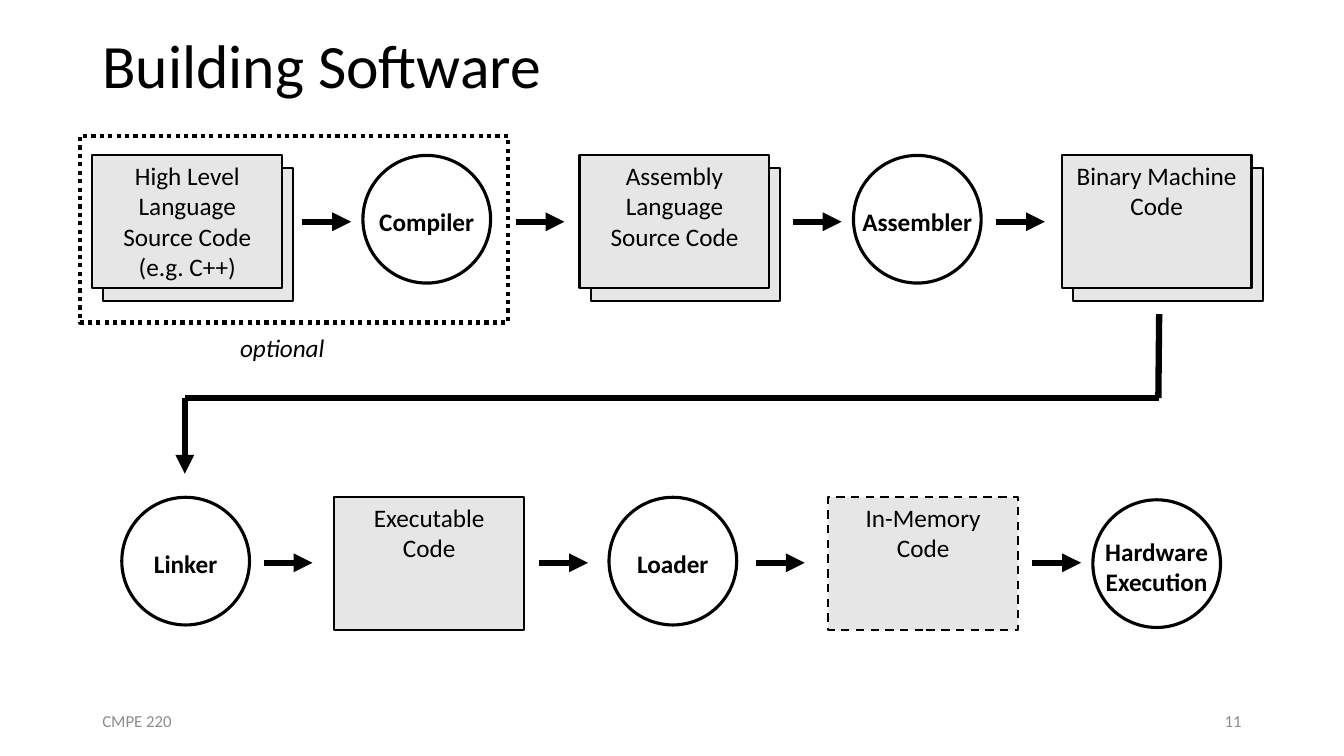
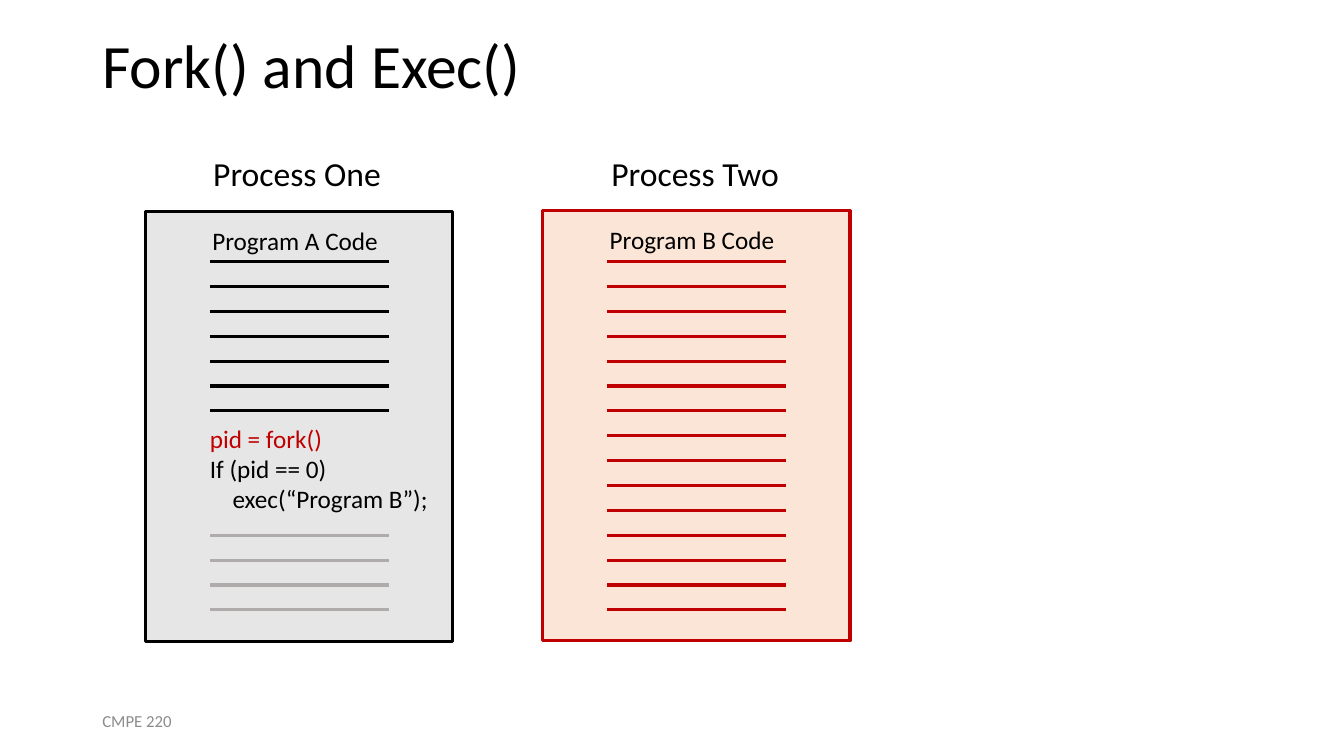
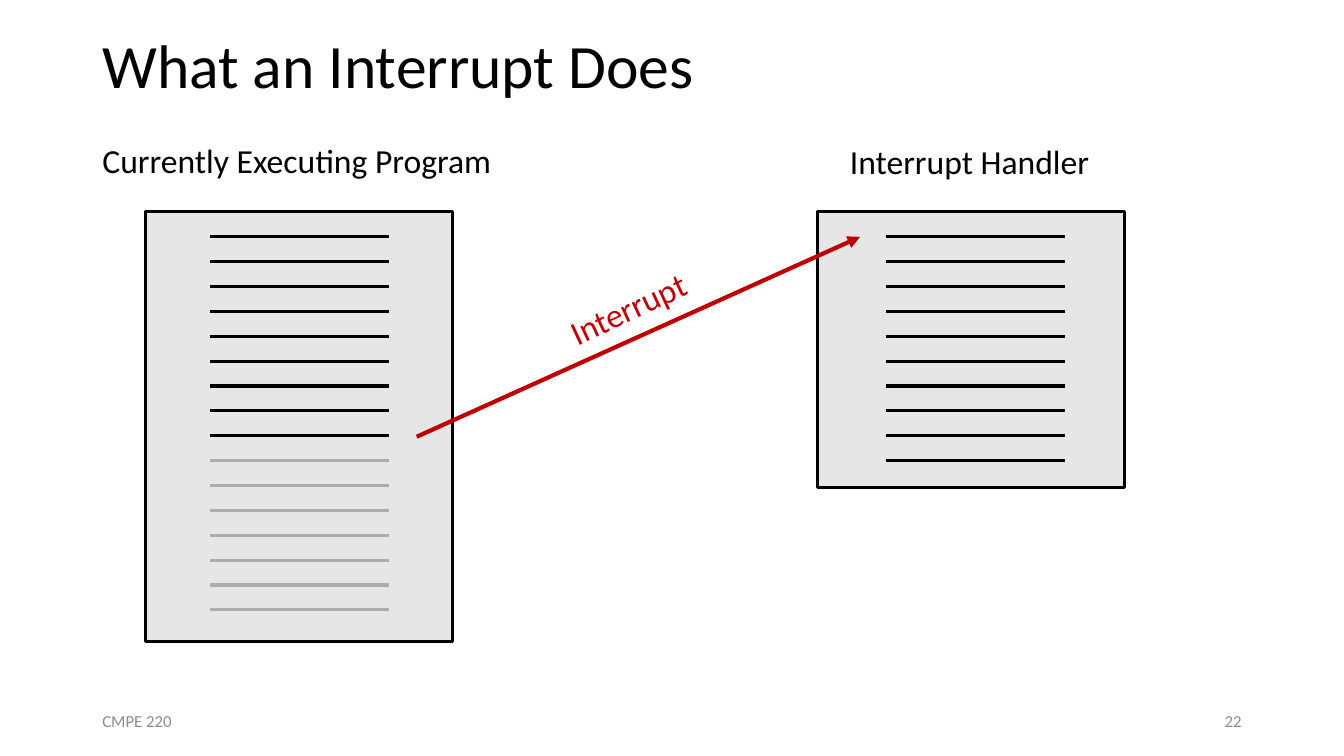
from lxml.etree import SubElement
from pptx import Presentation
from pptx.dml.color import RGBColor
from pptx.enum.dml import MSO_LINE
from pptx.enum.shapes import MSO_CONNECTOR, MSO_SHAPE
from pptx.enum.text import MSO_ANCHOR, PP_ALIGN
from pptx.oxml.ns import qn
from pptx.util import Inches, Pt

# Shared style: the grid has 80 columns and 45 rows
COLS, ROWS = 80, 45
WIDE, HIGH = Inches(13.33), Inches(7.5)
BLACK, RED, PALE, PEACH = "000000", "C00000", "E7E6E6", "FBE5D6"
FADE, MUTE = "AFABAB", "8C8C8C"
LEFT, MID, RIGHT = PP_ALIGN.LEFT, PP_ALIGN.CENTER, PP_ALIGN.RIGHT
BODY = {"size": Pt(18), "name": "Calibri"}
TITLE = {**BODY, "size": Pt(44)}
HEAD = {**BODY, "size": Pt(24)}
FOOT = {**BODY, "size": Pt(12)}
BOLD = {**BODY, "bold": True}
SLANT = {**BODY, "italic": True}

# Sizes that repeat, in grid units
BOX_W, BOX_H, DISK = 11.3, 7.9, 7.6
PAGE_W, PAGE_H, PAGE_Y = 18.3, 25.6, 12.6
RULE_W, RULE_Y, PITCH = 10.65, 14.1, 1.48


def tint(code):
    return RGBColor.from_string(code)


def col(num):
    return round(WIDE * num / COLS)


def row(num):
    return round(HIGH * num / ROWS)


class Deck:
    def __init__(self):
        self.file = Presentation()
        self.file.slide_width, self.file.slide_height = WIDE, HIGH
        self.slide = None

    def start(self, title, page=None):
        """Add a slide with its title and footer."""
        self.slide = self.file.slides.add_slide(self.file.slide_layouts[6])
        head = self.label(5.5, 0, 69, 8.1, [title], TITLE, wrap=True, mid=True)
        head.text_frame.paragraphs[0].line_spacing = 0.9
        self.label(5.5, 41.7, 18, 2.4, ["CMPE 220"], FOOT, MUTE,
                   wrap=True, mid=True)
        if page:
            self.label(56.5, 41.7, 18, 2.4, [page], FOOT, MUTE, RIGHT,
                       wrap=True, mid=True)

    def fill(self, frame, lines, form, hue, align):
        """Put lines in a frame; a line is a string or a (string, hue) pair."""
        for num, line in enumerate(lines):
            text, ink = (line, hue) if isinstance(line, str) else line
            para = frame.paragraphs[0] if num == 0 else frame.add_paragraph()
            para.alignment = align
            run = para.add_run()
            run.text = text
            for key, val in form.items():
                setattr(run.font, key, val)
            run.font.color.rgb = tint(ink)

    def label(self, x, y, w, h, lines, form=BODY, hue=BLACK, align=LEFT,
              wrap=False, mid=False, turn=0):
        box = self.slide.shapes.add_textbox(col(x), row(y), col(w), row(h))
        box.rotation = turn
        frame = box.text_frame
        frame.word_wrap = wrap
        frame.vertical_anchor = MSO_ANCHOR.MIDDLE if mid else MSO_ANCHOR.TOP
        self.fill(frame, lines, form, hue, align)
        return box

    def shape(self, kind, x, y, w, h, fill=PALE, line=BLACK, thick=1.5,
              dash=None):
        item = self.slide.shapes.add_shape(kind, col(x), row(y), col(w), row(h))
        item.shadow.inherit = False
        if fill:
            item.fill.solid()
            item.fill.fore_color.rgb = tint(fill)
        else:
            item.fill.background()
        item.line.color.rgb = tint(line)
        item.line.width = Pt(thick)
        if dash:
            item.line.dash_style = dash
        return item

    def box(self, x, y, lines=(), dash=None):
        item = self.shape(MSO_SHAPE.RECTANGLE, x, y, BOX_W, BOX_H, dash=dash)
        frame = item.text_frame
        frame.word_wrap = True
        frame.vertical_anchor = MSO_ANCHOR.TOP
        self.fill(frame, lines, BODY, BLACK, MID)

    def stack(self, x, y, lines):
        self.box(x + 0.66, y + 0.75)
        self.box(x, y, lines)

    def disk(self, x, y, lines):
        item = self.shape(MSO_SHAPE.OVAL, x, y, DISK, DISK, None, thick=2.25)
        frame = item.text_frame
        frame.word_wrap = False
        frame.vertical_anchor = MSO_ANCHOR.MIDDLE
        frame.margin_top, frame.margin_bottom = row(0.3), 0
        self.fill(frame, lines, BOLD, BLACK, MID)

    def line(self, x1, y1, x2, y2, hue=BLACK, thick=4.5, head=False):
        item = self.slide.shapes.add_connector(
            MSO_CONNECTOR.STRAIGHT, col(x1), row(y1), col(x2), row(y2))
        item.line.color.rgb = tint(hue)
        item.line.width = Pt(thick)
        props = item.element.spPr
        if head:
            SubElement(props.find(qn("a:ln")), qn("a:tailEnd"), type="triangle")
        SubElement(props, qn("a:effectLst"))

    def page(self, x, y=PAGE_Y, h=PAGE_H, fill=PALE, line=BLACK):
        self.shape(MSO_SHAPE.RECTANGLE, x, y, PAGE_W, h, fill, line, 2.25)

    def rules(self, x, first, last, hue=BLACK):
        """Draw code lines first to last, counted from the page top."""
        for num in range(first, last + 1):
            y = RULE_Y + num * PITCH
            self.line(x, y, x + RULE_W, y, hue, 2.25)


def build(deck):
    deck.start("Building Software", "11")
    # Top row: from source to machine code
    top = 9.25
    deck.stack(5.5, top, ["High Level Language Source Code", "(e.g. C++)"])
    deck.disk(21.6, top, ["Compiler"])
    deck.stack(34.5, top, ["Assembly Language Source Code"])
    deck.disk(50.8, top, ["Assembler"])
    deck.stack(63.2, top, ["Binary Machine Code"])
    # Bottom row: from linking to running
    low = 29.6
    deck.disk(7.25, low, ["Linker"])
    deck.box(19.9, low, ["Executable", "Code"])
    deck.disk(36.25, low, ["Loader"])
    deck.box(49.3, low, ["In-Memory", "Code"], MSO_LINE.DASH)
    deck.disk(65.05, low + 0.15, ["Hardware", "Execution"])
    # Arrows within the rows
    for y, starts in ((13.2, (18, 30.7, 47.2, 59.3)),
                      (33.5, (15.7, 32.1, 45, 61.45))):
        for x in starts:
            deck.line(x, y, x + 2.9, y, head=True)
    # Path between the rows
    deck.line(11, 23.7, 69, 23.7)
    deck.line(69, 18.7, 68.95, 23.7)
    deck.line(11, 23.7, 11, 28.2, head=True)
    # Optional part
    deck.shape(MSO_SHAPE.RECTANGLE, 4.75, 8.1, 25.5, 11.1, None, thick=3,
               dash=MSO_LINE.ROUND_DOT)
    deck.label(13.7, 19.5, 6.3, 2.4, ["optional"], SLANT)


def fork(deck):
    deck.start("Fork() and Exec()")
    # First process
    deck.page(8.65)
    deck.label(12.1, 8.8, 11.3, 3, ["Process One"], HEAD)
    deck.label(12.05, 13.1, 11.2, 2.4, ["Program A Code"])
    deck.rules(12.5, 1, 7)
    deck.rules(12.5, 12, 15, FADE)
    deck.label(11.9, 24.9, 14.5, 6.05,
               [("pid = fork()", RED), "If (pid == 0)",
                "    exec(“Program B”);"])
    # Second process
    deck.page(32.3, PAGE_Y - 0.05, fill=PEACH, line=RED)
    deck.label(35.8, 8.8, 11.3, 3, ["Process Two"], HEAD)
    deck.label(35.7, 13.05, 11.2, 2.4, ["Program B Code"])
    deck.rules(36.15, 1, 15, RED)


def halt(deck):
    deck.start("What an Interrupt Does", "22")
    # Program, run up to the ninth line
    deck.page(8.65)
    deck.label(5.5, 8.05, 24.6, 3, ["Currently Executing Program"], HEAD)
    deck.rules(12.5, 0, 8)
    deck.rules(12.5, 9, 15, FADE)
    # Handler
    deck.page(48.65, h=16.4)
    deck.label(50, 8.1, 15.6, 3, ["Interrupt Handler"], HEAD)
    deck.rules(52.75, 0, 9)
    # Jump
    deck.line(24.8, 26, 51.2, 14.1, RED, 3, head=True)
    deck.label(33.1, 16.8, 8.65, 3, ["Interrupt"], HEAD, RED, turn=335)


def main():
    deck = Deck()
    for part in (build, fork, halt):
        part(deck)
    deck.file.save("out.pptx")


if __name__ == "__main__":
    main()
